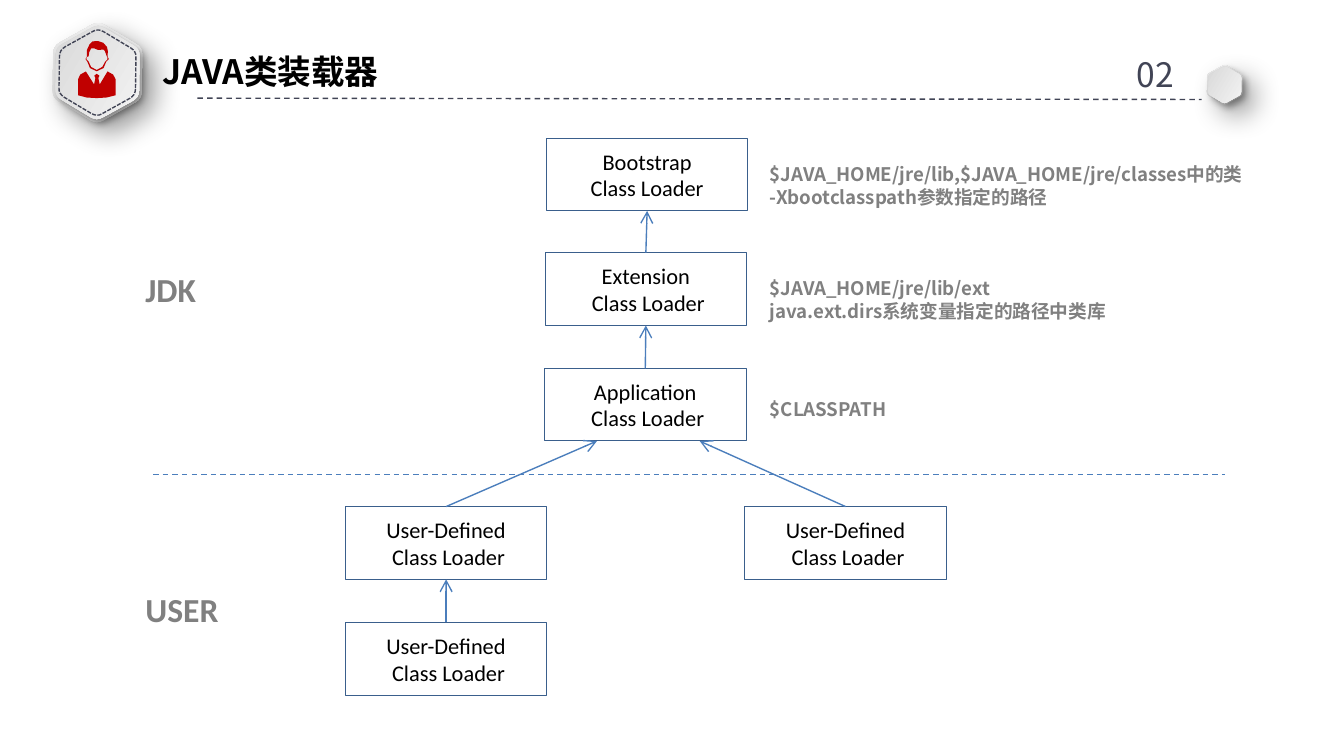
import math
from lxml import etree
from pptx import Presentation
from pptx import util as u
from pptx.dml.color import RGBColor
from pptx.enum import dml, shapes, text
from pptx.oxml import ns

Pt = u.Pt
COLORS = {"ink": "414455", "black": "000000", "grey": "808080", "red": "C00000",
          "box": "3A5F8C", "arrow": "4B7EBC", "dark": "D3D3D3", "light": "F9F9F9"}
C = {name: RGBColor.from_string(value) for name, value in COLORS.items()}
CJK, LATIN = "Noto Sans CJK SC", "Calibri"

prs = Presentation()
prs.slide_width, prs.slide_height = Pt(720), Pt(405)
s = prs.slides.add_slide(prs.slide_layouts[6])


def write(sp, lines, size, font, color, bold=False, align=None):
    tf = sp.text_frame
    tf.text = "\n".join(lines)
    for p in tf.paragraphs:
        p.alignment = align
        if font == CJK:
            p.line_spacing = Pt(round(size * 1.22, 1))
        r = p.runs[0]
        r.font.size, r.font.name, r.font.bold = Pt(size), font, bold
        r.font.color.rgb = C[color]
        ea = etree.SubElement(r.font._element, ns.qn("a:ea"))
        ea.set("typeface", font)


def outline(contours):
    # Points are held in tenths of a point for smooth edges
    fb = None
    for contour in contours:
        pts = [(x * 10, y * 10) for x, y in contour]
        if fb is None:
            fb = s.shapes.build_freeform(*pts[0], scale=Pt(0.1))
        else:
            fb.move_to(*pts[0])
        fb.add_line_segments(pts[1:], close=True)
    sp = fb.convert_to_shape()
    sp.shadow.inherit = False
    sp.line.fill.background()
    return sp


# Hexagon badges: centre, half height across the flats, gradient angle, shadow blur and distance
badges = [(52.2, 38.9, 23.8, 90, 15, 9), (52.2, 38.9, 22.4, 0, 4, 3),
          (52.2, 38.9, 20.5, None, 0, 0),
          (656.1, 45.4, 9.4, 90, 15, 9), (656.1, 45.4, 8.8, 0, 4, 3)]
for cx, cy, half, angle, blur, dist in badges:
    radius = half / math.cos(math.pi / 6)
    corners = [(cx + radius * math.cos(k * math.pi / 3),
                cy + radius * math.sin(k * math.pi / 3)) for k in range(6)]
    pts = []
    for k, (x, y) in enumerate(corners):
        (ax, ay), (bx, by) = corners[k - 1], corners[(k + 1) % 6]
        for t in (0, 0.25, 0.5, 0.75, 1):
            before, after = 0.14 * (1 - t) ** 2, 0.14 * t ** 2
            pts.append((x + before * (ax - x) + after * (bx - x),
                        y + before * (ay - y) + after * (by - y)))
    sp = outline([pts])
    sp.rotation = 30.9
    if angle is None:
        sp.fill.background()
        sp.line.color.rgb, sp.line.width = C["ink"], Pt(0.75)
        sp.line.dash_style = dml.MSO_LINE.SQUARE_DOT
        continue
    sp.fill.gradient()
    sp.fill.gradient_angle = angle
    for stop, name in zip(sp.fill.gradient_stops, ("dark", "light")):
        stop.color.rgb = C[name]
    effects = sp._element.spPr.find(ns.qn("a:effectLst"))
    shadow = etree.SubElement(effects, ns.qn("a:outerShdw"), blurRad=str(Pt(blur)),
                              dist=str(Pt(dist)), dir="2700000", algn="tl", rotWithShape="0")
    clr = etree.SubElement(shadow, ns.qn("a:srgbClr"), val=COLORS["black"])
    etree.SubElement(clr, ns.qn("a:alpha"), val="40000")

# Person pictogram
body = [(41.8, 42.5), (43, 40), (46, 38.3), (50.4, 45.3), (51.1, 41.8), (50.5, 40.6),
        (51.8, 39.6), (53.3, 40.6), (52.7, 41.8), (53.4, 45.3), (57.6, 38.3), (60.6, 40),
        (61.9, 42.5), (61.9, 51.1), (57, 52.3), (51.8, 52.6), (46.5, 52.3), (41.8, 51.1)]
head = [(58.3, 31.7), (56.9, 33.1), (55.5, 36.5), (51.8, 38.2), (48.2, 36.5), (46.8, 33.1),
        (45.8, 31.7), (46.6, 30.2), (46.5, 27), (47.9, 23.9), (49.5, 22.2), (52.5, 22),
        (55.4, 23), (57.3, 25.2), (57.8, 27.5), (57.6, 30.2)]
face = [(57.2, 30.2), (56.2, 27.4), (55.4, 26.6), (52.5, 26.8), (50.4, 25.9), (48.8, 26),
        (47.8, 28), (47.5, 30.2), (46.4, 30.6), (46.3, 31.8), (47.5, 33), (48.8, 35.9),
        (51.8, 37.5), (54.8, 35.9), (56.4, 33), (57.5, 32), (57.6, 30.6)]
for contours in ([body], [head, face]):
    sp = outline(contours)
    sp.fill.solid()
    sp.fill.fore_color.rgb = C["red"]

# Texts: left, top, width, height, inset, wrap, lines, size, font, colour, bold
texts = [
    (82, 24.5, 147.6, 27.4, 5, True, ["JAVA类装载器"], 18, CJK, "black", True),
    (604, 26, 34, 27.4, 5, True, ["02"], 18, CJK, "ink", False),
    (405.4, 83.5, 282, 31.7, 7.2, False,
     ["$JAVA_HOME/jre/lib,$JAVA_HOME/jre/classes中的类", "-Xbootclasspath参数指定的路径"],
     10, CJK, "grey", True),
    (405.4, 144.7, 197, 31.7, 7.2, False,
     ["$JAVA_HOME/jre/lib/ext ", "java.ext.dirs系统变量指定的路径中类库"], 10, CJK, "grey", True),
    (405.4, 209.5, 81, 19.4, 7.2, False, ["$CLASSPATH"], 10, CJK, "grey", True),
    (70.8, 140.4, 42, 29, 7.2, False, ["JDK"], 18, LATIN, "grey", True),
    (70.8, 312, 57, 29, 7.2, True, ["USER"], 18, LATIN, "grey", True)]
for x, y, w, h, inset, wrap, lines, size, font, color, bold in texts:
    sp = s.shapes.add_textbox(Pt(x), Pt(y), Pt(w), Pt(h))
    tf = sp.text_frame
    tf.word_wrap = wrap
    tf.margin_left = tf.margin_right = Pt(inset)
    tf.margin_top = tf.margin_bottom = Pt(inset / 2)
    write(sp, lines, size, font, color, bold)

# Class loader boxes
BOX_W, BOX_H = 108, 39
loaders = {"boot": (292.7, 74, "Bootstrap", "Class Loader"),
           "ext": (292, 135.4, "Extension", " Class Loader"),
           "app": (291.7, 197.3, "Application", " Class Loader"),
           "user_left": (185, 271.4, "User-Defined", " Class Loader"),
           "user_right": (399, 271.4, "User-Defined", " Class Loader"),
           "user_child": (185, 333.4, "User-Defined", " Class Loader")}
for x, y, *lines in loaders.values():
    sp = s.shapes.add_shape(shapes.MSO_SHAPE.RECTANGLE, Pt(x), Pt(y), Pt(BOX_W), Pt(BOX_H))
    sp.shadow.inherit = False
    sp.fill.background()
    sp.line.color.rgb, sp.line.width = C["box"], Pt(0.5)
    sp.text_frame.vertical_anchor = text.MSO_ANCHOR.MIDDLE
    write(sp, lines, 12, LATIN, "black", align=text.PP_ALIGN.CENTER)

# Dashed rules, then arrows from each child to a fraction of its parent's bottom edge
lines = [(105.8, 52.6, 643.7, 53.3, "ink", True), (82, 254.3, 656, 254.3, "arrow", True)]
for child, parent, part in [("ext", "boot", 0.5), ("app", "ext", 0.5), ("user_left", "app", 0.26),
                            ("user_right", "app", 0.77), ("user_child", "user_left", 0.5)]:
    (x1, y1), (x2, y2) = loaders[child][:2], loaders[parent][:2]
    lines.append((x1 + BOX_W / 2, y1, x2 + BOX_W * part, y2 + BOX_H, "arrow", False))
for x1, y1, x2, y2, color, dashed in lines:
    cn = s.shapes.add_connector(shapes.MSO_CONNECTOR.STRAIGHT, Pt(x1), Pt(y1), Pt(x2), Pt(y2))
    cn.line.color.rgb, cn.line.width = C[color], Pt(0.75)
    if dashed:
        cn.line.dash_style = dml.MSO_LINE.DASH
    else:
        etree.SubElement(cn.line._get_or_add_ln(), ns.qn("a:tailEnd"), type="arrow")
    etree.SubElement(cn._element.spPr, ns.qn("a:effectLst"))

prs.save("out.pptx")
